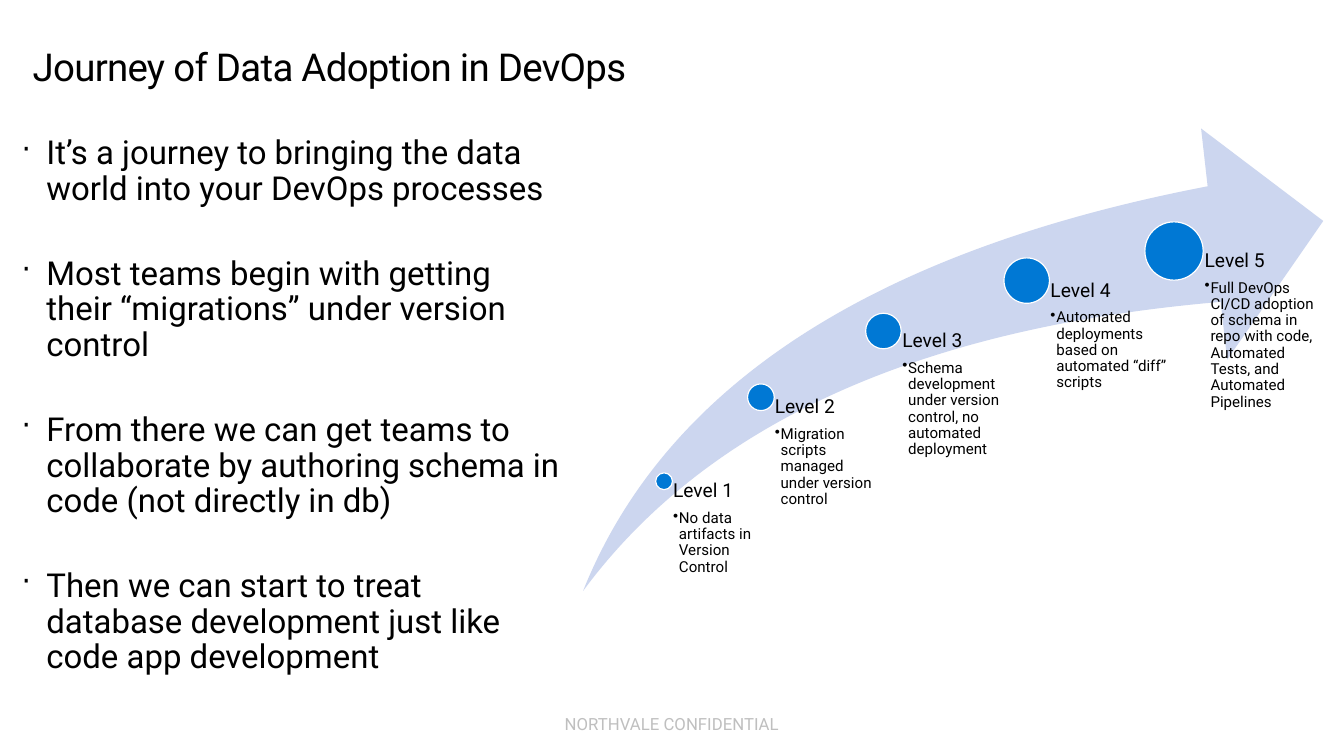
from lxml import etree
from pptx import Presentation
from pptx.dml.color import RGBColor
from pptx.enum.shapes import MSO_SHAPE
from pptx.enum.text import MSO_ANCHOR, PP_ALIGN
from pptx.oxml.ns import qn
from pptx.util import Pt

SWOOSH, OVAL = MSO_SHAPE.SWOOSH_ARROW, MSO_SHAPE.OVAL
MIDDLE, LEFT, CENTER = MSO_ANCHOR.MIDDLE, PP_ALIGN.LEFT, PP_ALIGN.CENTER
PX = 9144
FONT = "Roboto"
COLORS = {"ink": "000000", "note": "BFBFBF", "swoosh": "CCD6EF",
          "dot": "0078D4", "rim": "FFFFFF"}

POINTS = [
    "It’s a journey to bringing the data world into your DevOps processes",
    "Most teams begin with getting their “migrations” under version control",
    "From there we can get teams to collaborate by authoring schema in code (not directly in db)",
    "Then we can start to treat database development just like code app development",
]
LEVELS = [
    (82, 357, 17, 98, "No data artifacts in Version Control"),
    (180, 272, 27, 124, "Migration scripts managed under version control"),
    (304, 205, 36, 145, "Schema development under version control, no automated deployment"),
    (449, 154, 46, 150, "Automated deployments based on automated “diff” scripts"),
    (598, 124, 59, 150, "Full DevOps CI/CD adoption of schema in repo with code, "
                        "Automated Tests, and Automated Pipelines"),
]


def color(name):
    """Return the named colour."""
    return RGBColor.from_string(COLORS[name])


def add_frame(slide, x, y, w, h, inset=0):
    """Add a wrapping text box and return its frame."""
    frame = slide.shapes.add_textbox(x * PX, y * PX, w * PX, h * PX).text_frame
    frame.word_wrap = True
    frame.margin_left = inset * PX
    frame.margin_top = frame.margin_right = frame.margin_bottom = 0
    return frame


def set_bullet(para, char, indent, size=100):
    """Give a paragraph a hanging bullet."""
    props = para._p.get_or_add_pPr()
    props.set("marL", str(indent * PX))
    props.set("indent", str(-indent * PX))
    etree.SubElement(props, qn("a:buSzPct")).set("val", str(size * 1000))
    etree.SubElement(props, qn("a:buChar")).set("char", char)


def style(para, size, ink="ink", align=LEFT):
    """Set the font and alignment of a paragraph."""
    para.alignment = align
    para.font.name, para.font.size = FONT, Pt(size)
    para.font.color.rgb = color(ink)


def add_shape(slide, kind, x, y, w, h, fill):
    """Add a flat filled shape without a line."""
    shape = slide.shapes.add_shape(kind, x * PX, y * PX, w * PX, h * PX)
    shape.shadow.inherit = False
    shape.fill.solid()
    shape.fill.fore_color.rgb = color(fill)
    shape.line.fill.background()
    return shape


def add_title(slide, x, y, w, h):
    """Place the slide title."""
    para = add_frame(slide, x, y, w, h).paragraphs[0]
    run = para.add_run()
    run.text = "Journey of Data Adoption in DevOps"
    run._r.get_or_add_rPr().set("spc", "-50")
    style(para, 28)


def add_points(slide, x, y, w, h):
    """Place the bulleted points."""
    frame = add_frame(slide, x, y, w, h)
    for i, point in enumerate(POINTS):
        para = frame.add_paragraph() if i else frame.paragraphs[0]
        para.text = point
        para.line_spacing = 0.9
        para.space_before = Pt(36 if i else 0)
        set_bullet(para, "·", 25, 90)
        style(para, 24)


def add_level(slide, x, y, size, w, h, name, text):
    """Place a dot centred on x, y and its label below right."""
    dot = add_shape(slide, OVAL, x - size / 2, y - size / 2, size, size, "dot")
    dot.line.color.rgb = color("rim")
    dot.line.width = Pt(0.85)
    frame = add_frame(slide, x, y, w, h, round(size * 0.53))
    head, body = frame.paragraphs[0], frame.add_paragraph()
    head.text, body.text = name, text
    head.line_spacing = body.line_spacing = 0.9
    head.space_after = Pt(6)
    set_bullet(body, "•", 6)
    style(head, 14)
    style(body, 11)


def add_journey(slide, x, y, w, h):
    """Place the swoosh arrow and the levels along it."""
    arrow = add_shape(slide, SWOOSH, x, y, w, h, "swoosh")
    arrow.adjustments[0] = arrow.adjustments[1] = 0.25
    for i, (dx, dy, size, width, text) in enumerate(LEVELS, 1):
        add_level(slide, x + dx, y + dy, size, width, h - dy, f"Level {i}", text)


def add_footer(slide, x, y, w, h):
    """Place the confidentiality note."""
    frame = add_frame(slide, x, y, w, h)
    frame.vertical_anchor = MIDDLE
    para = frame.paragraphs[0]
    para.text = "NORTHVALE CONFIDENTIAL"
    style(para, 12.2, "note", CENTER)


def main():
    """Build and save the slide."""
    deck = Presentation()
    deck.slide_width, deck.slide_height = 1360 * PX, 765 * PX
    slide = deck.slides.add_slide(deck.slide_layouts[6])
    add_footer(slide, 570, 722, 220, 21)
    add_title(slide, 33, 44, 1229, 109)
    add_points(slide, 22, 138, 547, 539)
    add_journey(slide, 590, 130, 749, 468)
    deck.save("out.pptx")


if __name__ == "__main__":
    main()
